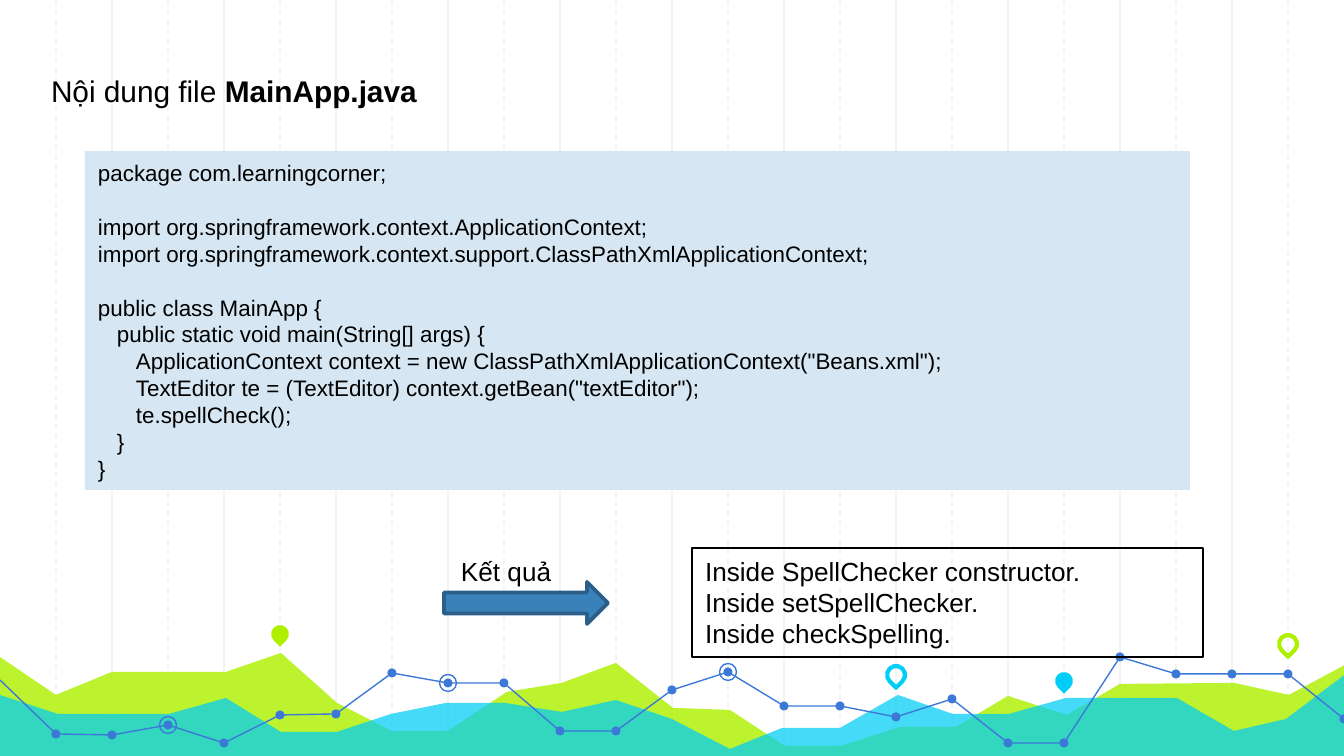
"""Build the MainApp.java slide: code listing, arrow and program output."""
from dataclasses import dataclass

from lxml.etree import SubElement
from pptx import Presentation
from pptx.dml.color import RGBColor
from pptx.enum.dml import MSO_LINE
from pptx.enum.shapes import MSO_CONNECTOR, MSO_SHAPE
from pptx.enum.text import MSO_ANCHOR as ANCHOR, MSO_AUTO_SIZE, PP_ALIGN
from pptx.oxml.ns import qn
from pptx.util import Emu, Pt

EMU_PER_PX = 914400 / 134.4
WIDTH, HEIGHT = 1344, 756
GRID_STEP = 56
CODE_INDENT = 19


@dataclass(frozen=True)
class Theme:
    font: str = "Arial"
    text: str = "000000"
    grid: str = "F3F3F3"
    green: str = "AFF000"
    cyan: str = "00CEF6"
    blue: str = "3C78D8"
    panel: str = "D6E6F2"
    arrow: str = "3A81BA"
    arrow_edge: str = "2B5F8A"
    title_size: int = 16
    body_size: int = 14
    code_size: int = 12
    body_leading: float = 16.6
    code_leading: float = 14.4


THEME = Theme()

GREEN_AREA = [
    (-3, 655), (56, 695), (112, 672), (226, 672), (281, 653), (337, 703),
    (392, 731), (448, 731), (507, 692), (562, 683), (616, 663), (673, 708),
    (730, 710), (785, 746), (841, 746), (900, 727), (956, 727), (1008, 696),
    (1067, 715), (1120, 684), (1234, 683), (1289, 695), (1347, 664),
    (1347, 758), (-4, 758),
]
CYAN_AREA = [
    (-3, 694), (58, 714), (169, 714), (226, 698), (281, 732), (337, 732),
    (391, 714), (446, 703), (505, 703), (562, 712), (616, 700), (672, 719),
    (730, 749), (782, 728), (840, 728), (898, 695), (953, 714), (1009, 714),
    (1066, 698), (1177, 698), (1234, 731), (1286, 719), (1347, 673),
    (1347, 759), (-4, 759),
]
LINE_HEIGHTS = [
    680, 734, 735, 725, 743, 715, 714, 673, 683, 683, 731, 731, 690,
    672, 706, 706, 717, 699, 743, 743, 657, 674, 674, 674, 719,
]
LINE_BREAKS = [(0, 11), (11, 20), (20, 24)]
RINGED_POINTS = [3, 8, 13]
PINS = [
    (280, 634, THEME.green, True),
    (896, 675, THEME.cyan, False),
    (1064, 681, THEME.cyan, True),
    (1288, 644, THEME.green, False),
]
CODE = [
    [(0, "package com.learningcorner;")],
    [(0, "import org.springframework.context.ApplicationContext;"),
     (0, "import org.springframework.context.support.ClassPathXmlApplicationContext;")],
    [(0, "public class MainApp {"),
     (1, "public static void main(String[] args) {"),
     (2, 'ApplicationContext context = new ClassPathXmlApplicationContext("Beans.xml");'),
     (2, 'TextEditor te = (TextEditor) context.getBean("textEditor");'),
     (2, "te.spellCheck();"),
     (1, "}"),
     (0, "}")],
]
OUTPUT = [
    "Inside SpellChecker constructor.",
    "Inside setSpellChecker.",
    "Inside checkSpelling.",
]


def px(length):
    return Emu(round(length * EMU_PER_PX))


def rgb(value):
    return RGBColor.from_string(value)


def style_shape(shape, fill=None, line=None, weight=0.75):
    shape.shadow.inherit = False
    if fill:
        shape.fill.solid()
        shape.fill.fore_color.rgb = rgb(fill)
    else:
        shape.fill.background()
    if line:
        shape.line.color.rgb = rgb(line)
        shape.line.width = Pt(weight)
    else:
        shape.line.fill.background()


def add_preset(slide, kind, box, **style):
    shape = slide.shapes.add_shape(kind, *map(px, box))
    style_shape(shape, **style)
    return shape


def add_dot(slide, kind, center, size, **style):
    x, y = center
    return add_preset(slide, kind, (x - size / 2, y - size / 2, size, size), **style)


def add_path(slide, points, closed, alpha=None, **style):
    builder = slide.shapes.build_freeform(*points[0], scale=EMU_PER_PX)
    builder.add_line_segments(points[1:], close=closed)
    shape = builder.convert_to_shape()
    style_shape(shape, **style)
    if alpha:
        color = shape.element.spPr.find(".//" + qn("a:srgbClr"))
        SubElement(color, qn("a:alpha")).set("val", str(alpha * 1000))


def add_grid_line(slide, x, dashed):
    line = slide.shapes.add_connector(
        MSO_CONNECTOR.STRAIGHT, px(x), 0, px(x), px(759))
    line.line.color.rgb = rgb(THEME.grid)
    line.line.width = Pt(0.75)
    if dashed:
        line.line.dash_style = MSO_LINE.DASH
    SubElement(line.element.spPr, qn("a:effectLst"))


def set_frame(shape, anchor, top=7):
    frame = shape.text_frame
    frame.word_wrap = True
    frame.auto_size = MSO_AUTO_SIZE.NONE
    frame.vertical_anchor = anchor
    frame.margin_left = frame.margin_right = px(13)
    frame.margin_top, frame.margin_bottom = px(top), px(7)
    return frame


def next_paragraph(frame, first):
    paragraph = frame.paragraphs[0] if first else frame.add_paragraph()
    paragraph.alignment = PP_ALIGN.LEFT
    return paragraph


def add_run(paragraph, text, size, bold=False):
    run = paragraph.add_run()
    run.text = text
    run.font.name = THEME.font
    run.font.size = Pt(size)
    run.font.bold = bold
    run.font.color.rgb = rgb(THEME.text)


def add_background(slide):
    for index in range(1, WIDTH // GRID_STEP):
        add_grid_line(slide, index * GRID_STEP, dashed=index % 2 == 1)
    add_path(slide, GREEN_AREA, True, alpha=82, fill=THEME.green)
    add_path(slide, CYAN_AREA, True, alpha=73, fill=THEME.cyan)
    points = [(index * GRID_STEP, y) for index, y in enumerate(LINE_HEIGHTS)]
    for start, end in LINE_BREAKS:
        add_path(slide, points[start:end + 1], False, line=THEME.blue)
    for point in points[1:]:
        add_dot(slide, MSO_SHAPE.OVAL, point, 9, fill=THEME.blue)
    for index in RINGED_POINTS:
        add_dot(slide, MSO_SHAPE.OVAL, points[index], 17, line=THEME.blue)
    for x, y, color, solid in PINS:
        style = {"fill": color} if solid else {"line": color, "weight": 2.25}
        pin = add_dot(slide, MSO_SHAPE.TEAR, (x, y), 18, **style)
        pin.rotation = 135


def add_title(slide):
    title = slide.shapes.title
    title.left, title.top, title.width, title.height = map(px, (38, 63, 1224, 82))
    title.element.getparent().append(title.element)
    paragraph = next_paragraph(set_frame(title, ANCHOR.TOP, top=10), True)
    add_run(paragraph, "Nội dung file ", THEME.title_size)
    add_run(paragraph, "MainApp.java", THEME.title_size, bold=True)


def add_code(slide):
    panel = add_preset(slide, MSO_SHAPE.RECTANGLE, (85, 151, 1105, 339), fill=THEME.panel)
    frame = set_frame(panel, ANCHOR.MIDDLE)
    for block_index, block in enumerate(CODE):
        for line_index, (level, text) in enumerate(block):
            paragraph = next_paragraph(frame, block_index == line_index == 0)
            paragraph.line_spacing = Pt(THEME.code_leading)
            if block_index and line_index == 0:
                paragraph.space_before = Pt(THEME.code_leading)
            properties = paragraph._p.get_or_add_pPr()
            properties.set("marL", str(px(level * CODE_INDENT)))
            add_run(paragraph, text, THEME.code_size)


def add_result(slide):
    box = add_preset(slide, MSO_SHAPE.RECTANGLE, (692, 548, 511, 109),
                     line=THEME.text, weight=1)
    frame = set_frame(box, ANCHOR.MIDDLE)
    for index, text in enumerate(OUTPUT):
        paragraph = next_paragraph(frame, index == 0)
        paragraph.line_spacing = Pt(THEME.body_leading)
        add_run(paragraph, text, THEME.body_size)
    add_preset(slide, MSO_SHAPE.RIGHT_ARROW, (444, 582, 164, 42),
               fill=THEME.arrow, line=THEME.arrow_edge, weight=2)
    label = slide.shapes.add_textbox(*map(px, (448, 548, 156, 46)))
    paragraph = next_paragraph(set_frame(label, ANCHOR.MIDDLE), True)
    add_run(paragraph, "Kết quả", THEME.body_size)


def main():
    presentation = Presentation()
    presentation.slide_width, presentation.slide_height = px(WIDTH), px(HEIGHT)
    slide = presentation.slides.add_slide(presentation.slide_layouts[5])
    add_background(slide)
    add_code(slide)
    add_title(slide)
    add_result(slide)
    presentation.save("out.pptx")


if __name__ == "__main__":
    main()
